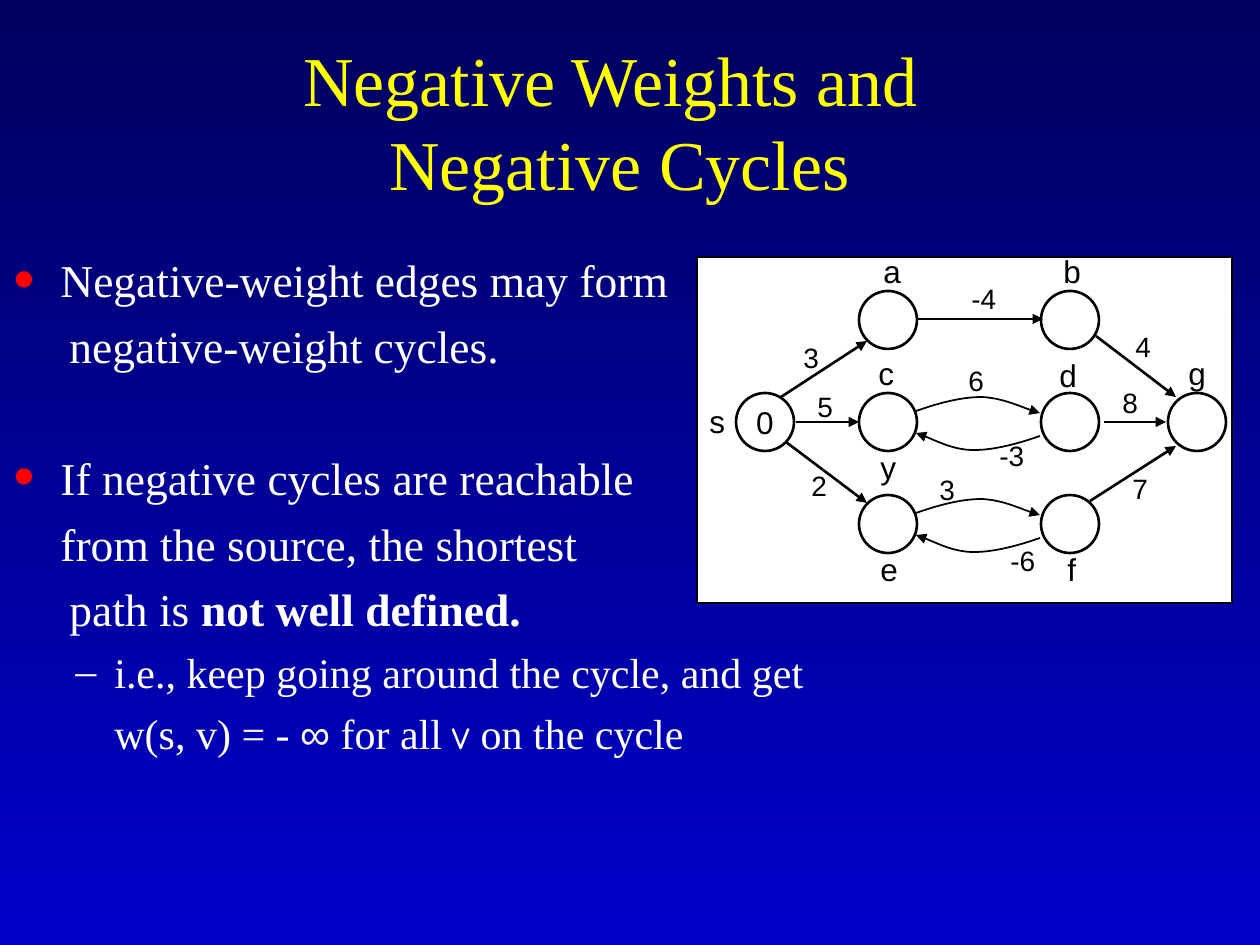
from typing import NamedTuple

import pptx
import pptx.dml.color
import pptx.enum.dml
import pptx.enum.shapes
import pptx.enum.text
import pptx.oxml
import pptx.oxml.ns
import pptx.util

EMU_PER_PX = 914400 / 126
SERIF, SANS, COMIC = "Times New Roman", "Arial", "Comic Neue"
BLACK, WHITE, YELLOW, RED = "000000", "FFFFFF", "FFFF00", "FF0000"
NODE_SIZE = 58
ROW_STEP = 102


class Label(NamedTuple):
    text: str
    left: int
    top: int
    width: int
    size: int


class Node(NamedTuple):
    left: int
    top: int
    text: str = ""


class Edge(NamedTuple):
    start: tuple[int, int]
    end: tuple[int, int]


class Line(NamedTuple):
    runs: list[tuple[str, dict]]
    margin: int
    indent: int = 0
    size: int = 26
    before: float = 6.5
    bullet: str = ""
    bullet_color: str = WHITE
    bullet_percent: int = 100


def px(value: int) -> int:
    return round(value * EMU_PER_PX)


def color(value: str) -> pptx.dml.color.RGBColor:
    return pptx.dml.color.RGBColor.from_string(value)


def format_font(font, fill: str, **values) -> None:
    for name, value in values.items():
        setattr(font, name, value)
    font.color.rgb = color(fill)


def add_element(parent, tag: str, **attributes):
    element = pptx.oxml.parse_xml(f"<a:{tag} {pptx.oxml.ns.nsdecls('a')}/>")
    for name, value in attributes.items():
        element.set(name, str(value))
    parent.append(element)
    return element


def add_textbox(slide, left: int, top: int, width: int, height: int, **values):
    frame = slide.shapes.add_textbox(px(left), px(top), px(width), px(height)).text_frame
    for name, value in values.items():
        setattr(frame, name, value)
    return frame


def add_line(paragraph, line: Line, first: bool) -> None:
    properties = paragraph._p.get_or_add_pPr()
    properties.set("marL", str(px(line.margin)))
    properties.set("indent", str(px(line.indent)))
    if line.bullet:
        bullet_fill = add_element(properties, "buClr")
        add_element(bullet_fill, "srgbClr", val=line.bullet_color)
        add_element(properties, "buSzPct", val=line.bullet_percent * 1000)
        add_element(properties, "buFont", typeface=SERIF)
        add_element(properties, "buChar", char=line.bullet)
    else:
        add_element(properties, "buNone")
    paragraph.space_before = pptx.util.Pt(0 if first else line.before)
    for text, values in line.runs:
        run = paragraph.add_run()
        run.text = text
        font_values = {"name": SERIF, "size": pptx.util.Pt(line.size)} | values
        format_font(run.font, WHITE, **font_values)


def add_label(slide, label: Label) -> None:
    height = 50 if label.size == 18 else 47
    frame = add_textbox(slide, label.left, label.top, label.width, height, word_wrap=False,
                        auto_size=pptx.enum.text.MSO_AUTO_SIZE.SHAPE_TO_FIT_TEXT)
    paragraph = frame.paragraphs[0]
    paragraph.text = label.text
    format_font(paragraph.font, BLACK, name=SANS, size=pptx.util.Pt(label.size))


def add_node(slide, node: Node) -> None:
    shape = slide.shapes.add_shape(
        pptx.enum.shapes.MSO_SHAPE.OVAL,
        px(node.left), px(node.top), px(NODE_SIZE), px(NODE_SIZE))
    shape.shadow.inherit = False
    shape.fill.background()
    format_line(shape.line, 1.5)
    if node.text:
        frame = shape.text_frame
        frame.word_wrap = False
        frame.vertical_anchor = pptx.enum.text.MSO_ANCHOR.MIDDLE
        paragraph = frame.paragraphs[0]
        paragraph.text = node.text
        paragraph.alignment = pptx.enum.text.PP_ALIGN.CENTER
        format_font(paragraph.font, BLACK, name=SANS, size=pptx.util.Pt(18))


def format_line(line, width: float, arrow: bool = False) -> None:
    line.color.rgb = color(BLACK)
    line.width = pptx.util.Pt(width)
    if arrow:
        add_element(line._get_or_add_ln(), "tailEnd", type="triangle")


def add_edge(slide, edge: Edge) -> None:
    connector = slide.shapes.add_connector(
        pptx.enum.shapes.MSO_CONNECTOR.STRAIGHT, *map(px, edge.start + edge.end))
    format_line(connector.line, 1.5, arrow=True)
    add_element(connector._element.spPr, "effectLst")


def add_curve(slide, points: list[tuple[int, int]]) -> None:
    builder = slide.shapes.build_freeform(*points[0], scale=EMU_PER_PX)
    builder.add_line_segments(points[1:], close=False)
    shape = builder.convert_to_shape()
    # Every three segments become one Bezier curve
    segments = list(shape._element.iter(pptx.oxml.ns.qn("a:lnTo")))
    path_element = segments[0].getparent()
    for index in range(0, len(segments), 3):
        bezier = add_element(path_element, "cubicBezTo")
        for segment in segments[index:index + 3]:
            bezier.append(segment[0])
            path_element.remove(segment)
    shape.shadow.inherit = False
    shape.fill.background()
    format_line(shape.line, 1, arrow=True)


BODY = [
    Line([("Negative-weight edges may form", {})], 48, -48,
         bullet="•", bullet_color=RED, bullet_percent=150),
    Line([("negative-weight cycles.", {})], 57),
    Line([("If negative cycles are reachable", {})], 48, -48, before=44,
         bullet="•", bullet_color=RED, bullet_percent=150),
    Line([("from the source, the shortest", {})], 48),
    Line([("path is ", {}), ("not well defined.", {"bold": True})], 57),
    Line([("i.e., keep going around the cycle, and get", {})], 102, -39, 24, 6, "–"),
    Line([("w(s, v) = - ", {}), ("∞", {"name": SANS}), (" for all ", {}),
          ("v", {"name": COMIC}), (" on the cycle", {})], 102, 0, 24, 6),
]
NODES = [Node(736, 393, "0"), Node(1168, 393)] + [
    Node(left, 291 + row * ROW_STEP) for row in range(3) for left in (859, 1041)]
EDGES = [
    Edge((916, 319), (1043, 319)), Edge((781, 397), (867, 341)),
    Edge((786, 442), (867, 503)), Edge((1096, 336), (1176, 397)),
    Edge((1090, 501), (1176, 446)), Edge((796, 422), (859, 422)),
    Edge((1104, 422), (1166, 422)),
]
CURVES = [
    [(916, 411), (939, 403), (961, 397), (982, 397), (1002, 398), (1031, 411), (1040, 413)],
    [(1040, 436), (1017, 444), (994, 450), (974, 450), (954, 450), (926, 436), (916, 433)],
]
LABELS = [
    # Edge weights
    Label("3", 791, 334, 42, 16), Label("-4", 959, 275, 54, 16),
    Label("2", 799, 462, 42, 16), Label("8", 1110, 379, 42, 16),
    Label("-6", 998, 537, 54, 16), Label("-3", 987, 432, 54, 16),
    Label("3", 927, 466, 42, 16), Label("5", 805, 383, 42, 16),
    Label("6", 956, 357, 42, 16), Label("4", 1123, 323, 42, 16),
    Label("7", 1120, 465, 42, 16),
    # Node names
    Label("s", 697, 396, 42, 18), Label("a", 871, 246, 44, 18),
    Label("b", 1051, 246, 44, 18), Label("c", 866, 348, 42, 18),
    Label("d", 1047, 350, 44, 18), Label("e", 868, 544, 44, 18),
    Label("f", 1055, 544, 35, 18), Label("g", 1176, 348, 44, 18),
    Label("y", 868, 442, 42, 18),
]


def main() -> None:
    presentation = pptx.Presentation()
    presentation.slide_width, presentation.slide_height = px(1260), px(945)
    slide = presentation.slides.add_slide(presentation.slide_layouts[6])

    # Background
    background = slide.background.fill
    background.gradient()
    background.gradient_angle = 270
    for stop, value in zip(background.gradient_stops, ("00005E", "0000CC")):
        stop.color.rgb = color(value)

    # Title
    frame = add_textbox(slide, 84, 42, 1071, 157, word_wrap=True,
                        vertical_anchor=pptx.enum.text.MSO_ANCHOR.MIDDLE)
    title = frame.paragraphs[0]
    title.text = "Negative Weights and \vNegative Cycles"
    title.alignment = pptx.enum.text.PP_ALIGN.CENTER
    format_font(title.font, YELLOW, name=SERIF, size=pptx.util.Pt(40))

    # Body
    frame = add_textbox(slide, 0, 246, 988, 605, word_wrap=True)
    for index, line in enumerate(BODY):
        paragraph = frame.add_paragraph() if index else frame.paragraphs[0]
        add_line(paragraph, line, first=index == 0)

    # Graph
    panel = slide.shapes.add_shape(
        pptx.enum.shapes.MSO_SHAPE.RECTANGLE, px(697), px(257), px(535), px(346))
    panel.shadow.inherit = False
    panel.fill.solid()
    panel.fill.fore_color.rgb = color(WHITE)
    format_line(panel.line, 0.75)
    for node in NODES:
        add_node(slide, node)
    for edge in EDGES:
        add_edge(slide, edge)
    for offset in (0, ROW_STEP):
        for points in CURVES:
            add_curve(slide, [(x, y + offset) for x, y in points])
    for label in LABELS:
        add_label(slide, label)

    presentation.save("out.pptx")


if __name__ == "__main__":
    main()
